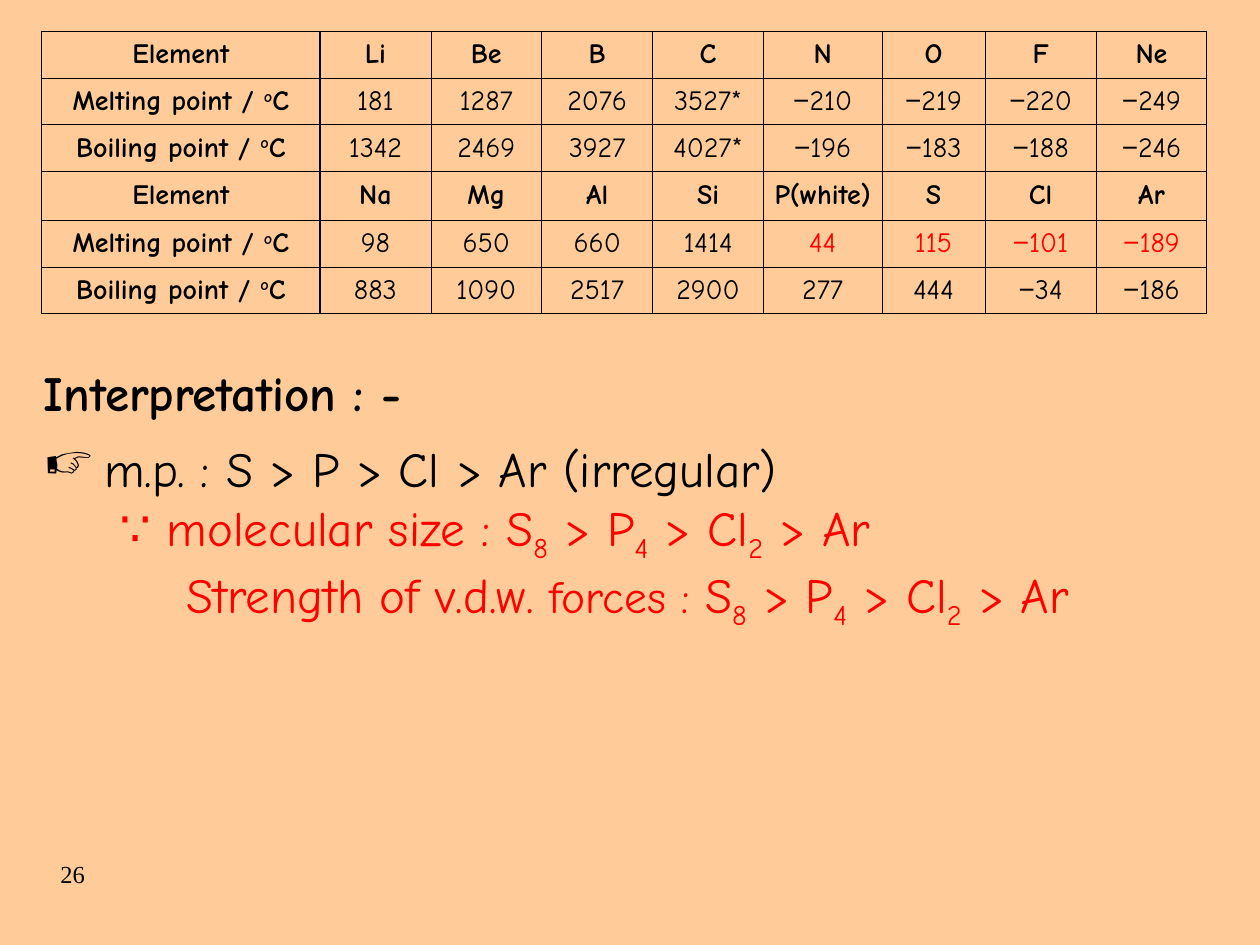
import pptx
import pptx.dml.color
import pptx.enum.text
import pptx.oxml
import pptx.oxml.ns
import pptx.util

Inches, Pt = pptx.util.Inches, pptx.util.Pt
PEACH = pptx.dml.color.RGBColor(0xFF, 0xCC, 0x99)
BLACK = pptx.dml.color.RGBColor(0, 0, 0)
RED = pptx.dml.color.RGBColor(0xFF, 0, 0)
BODY_FONT, MINUS_FONT, NUMBER_FONT = "Comic Neue", "Arial", "Times New Roman"
THICK, THIN = 0.75, 0.45
SUPER, SUB = 30, -25

MELTING = [("Melting point / ",), ("o", SUPER), ("C",)]
BOILING = [("Boiling point / ",), ("o", SUPER), ("C",)]
PERIODS = [
    ("Li Be B C N O F Ne",
     "181 1287 2076 3527* −210 −219 −220 −249",
     "1342 2469 3927 4027* −196 −183 −188 −246"),
    ("Na Mg Al Si P(white) S Cl Ar",
     "98 650 660 1414 44 115 −101 −189",
     "883 1090 2517 2900 277 444 −34 −186"),
]
HEADINGS = [[("Element",)], MELTING, BOILING]
RED_ROW, RED_FROM_COLUMN = 4, 5
COLUMN_WIDTHS = [2.21, 0.88, 0.88, 0.88, 0.88, 0.94, 0.82, 0.88, 0.88]
ROW_HEIGHTS = [0.37, 0.37, 0.37, 0.39, 0.37, 0.37]

MOLECULES = [("S",), ("8", SUB), (" > P",), ("4", SUB), (" > Cl",), ("2", SUB), (" > Ar",)]
# (pieces of text, colour, left indent in inches, bullet)
REASONS = [
    ([("m.p. : S > P > Cl > Ar (irregular)",)], BLACK, 0.48, "☞"),
    ([("∵ molecular size : ",)] + MOLECULES, RED, 0.6, None),
    ([("Strength of v.d.w. ",), ("forces : ", 0, 26)] + MOLECULES, RED, 1.13, None),
]


def write(paragraph, pieces, size, color, bold=False, font=BODY_FONT):
    """Add runs from pieces of (text, baseline shift in percent, own size)."""
    for text, shift, own_size in ((*piece, 0, None)[:3] if len(piece) == 1
                                  else (*piece, None)[:3] for piece in pieces):
        run = paragraph.add_run()
        run.text = text
        style = {"name": MINUS_FONT if text == "−" else font,
                 "size": Pt(own_size or size), "bold": bold}
        for key, value in style.items():
            setattr(run.font, key, value)
        run.font.color.rgb = color
        if shift:
            run.font._element.set("baseline", str(shift * 1000))


def add_text_frame(slide, left, top, width, height):
    frame = slide.shapes.add_textbox(*map(Inches, (left, top, width, height))).text_frame
    frame.word_wrap = True
    return frame


def set_indent(paragraph, left, bullet):
    properties = paragraph._p.get_or_add_pPr()
    properties.set("marL", str(Inches(left)))
    properties.set("indent", str(-Inches(left) if bullet else 0))
    if bullet:
        namespace = pptx.oxml.ns.nsdecls("a")
        for markup in (f'<a:buClr {namespace}><a:srgbClr val="{BLACK}"/></a:buClr>',
                       f'<a:buChar {namespace} char="{bullet}"/>'):
            properties.append(pptx.oxml.parse_xml(markup))


def set_borders(cell, widths):
    for side, width in widths.items():
        cell._tc.get_or_add_tcPr().append(pptx.oxml.parse_xml(
            f'<a:ln{side} {pptx.oxml.ns.nsdecls("a")} w="{Pt(width)}">'
            f'<a:solidFill><a:srgbClr val="{BLACK}"/></a:solidFill></a:ln{side}>'))


def value_pieces(value):
    return [("−",), (value[1:],)] if value.startswith("−") else [(value,)]


def add_element_table(slide):
    rows = [[heading] + [value_pieces(value) for value in values.split()]
            for period in PERIODS for heading, values in zip(HEADINGS, period)]
    table = slide.shapes.add_table(
        len(rows), len(COLUMN_WIDTHS), Inches(0.33), Inches(0.25),
        Inches(sum(COLUMN_WIDTHS)), Inches(sum(ROW_HEIGHTS))).table
    table.first_row = table.horz_banding = False
    for column, width in zip(table.columns, COLUMN_WIDTHS):
        column.width = Inches(width)
    for row, height in zip(table.rows, ROW_HEIGHTS):
        row.height = Inches(height)

    last_column = len(COLUMN_WIDTHS) - 1
    for r, row in enumerate(rows):
        row_in_period = r % len(HEADINGS)
        for c, pieces in enumerate(row):
            cell = table.cell(r, c)
            set_borders(cell, {
                "L": THICK if c <= 1 else THIN,
                "R": THICK if c in (0, last_column) else THIN,
                "T": THICK if row_in_period == 0 else THIN,
                "B": THICK if row_in_period == len(HEADINGS) - 1 else THIN,
            })
            cell.fill.background()
            cell.margin_left = cell.margin_right = Inches(0.02)
            cell.vertical_anchor = pptx.enum.text.MSO_ANCHOR.MIDDLE
            paragraph = cell.text_frame.paragraphs[0]
            paragraph.alignment = pptx.enum.text.PP_ALIGN.CENTER
            highlighted = r == RED_ROW and c >= RED_FROM_COLUMN
            write(paragraph, pieces, 16, RED if highlighted else BLACK,
                  bold=c == 0 or row_in_period == 0)


def main():
    deck = pptx.Presentation()
    deck.slide_width, deck.slide_height = Inches(10), Inches(7.5)
    slide = deck.slides.add_slide(deck.slide_layouts[6])
    slide.background.fill.solid()
    slide.background.fill.fore_color.rgb = PEACH

    page_number = add_text_frame(slide, 0.38, 6.77, 1.42, 0.5)
    write(page_number.paragraphs[0], [("26",)], 14, BLACK, font=NUMBER_FONT)

    add_element_table(slide)

    title = add_text_frame(slide, 0.25, 2.83, 4.58, 0.57)
    write(title.paragraphs[0], [("Interpretation : -",)], 28, BLACK, bold=True)

    reasons = add_text_frame(slide, 0.25, 3.43, 9.75, 2.06)
    for i, (pieces, color, indent, bullet) in enumerate(REASONS):
        paragraph = reasons.add_paragraph() if i else reasons.paragraphs[0]
        set_indent(paragraph, indent, bullet)
        write(paragraph, pieces, 28, color)

    deck.save("out.pptx")


if __name__ == "__main__":
    main()
